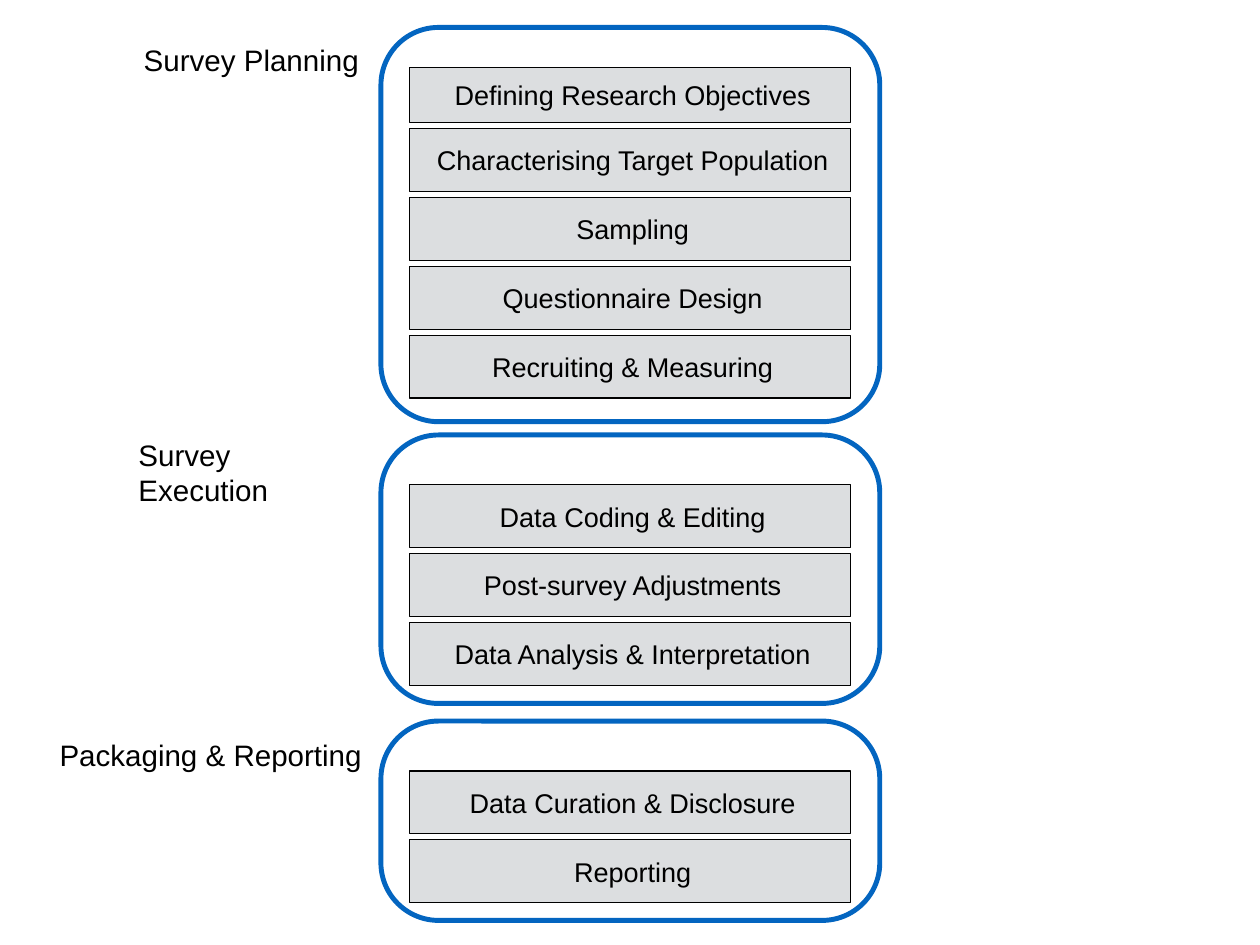
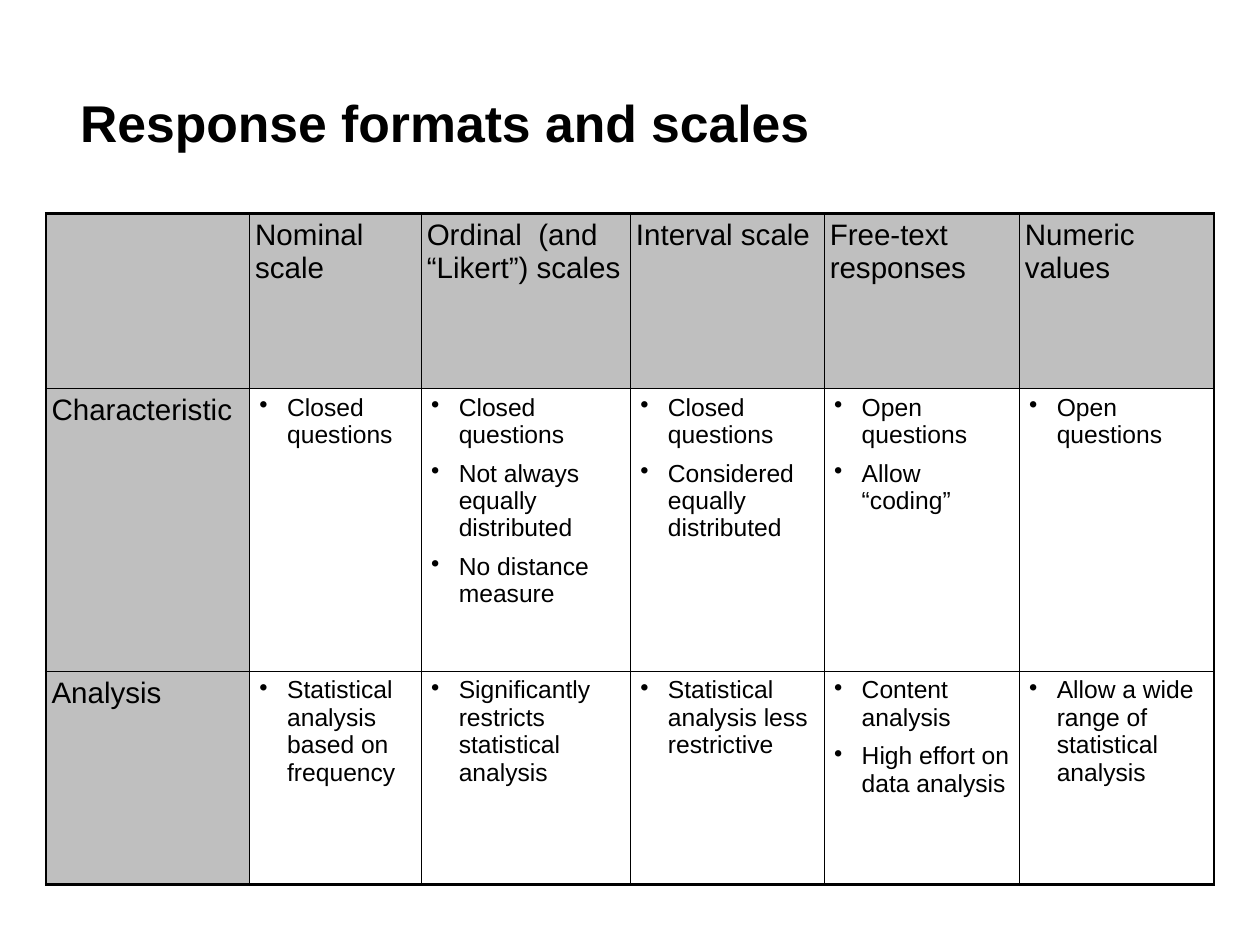
from dataclasses import dataclass

from lxml import etree
from pptx import Presentation
from pptx.dml.color import RGBColor
from pptx.enum.shapes import MSO_SHAPE
from pptx.enum.text import MSO_ANCHOR, MSO_AUTO_SIZE, PP_ALIGN
from pptx.oxml.ns import qn
from pptx.util import Pt

RECT, ROUNDED = MSO_SHAPE.RECTANGLE, MSO_SHAPE.ROUNDED_RECTANGLE
LEFT, CENTER = PP_ALIGN.LEFT, PP_ALIGN.CENTER
MIDDLE, BOTTOM, TOP = MSO_ANCHOR.MIDDLE, MSO_ANCHOR.BOTTOM, MSO_ANCHOR.TOP
NO_FIT, GROW = MSO_AUTO_SIZE.NONE, MSO_AUTO_SIZE.SHAPE_TO_FIT_TEXT


@dataclass(frozen=True)
class Theme:
    font: str = "Arial"
    ink: str = "000000"
    paper: str = "FFFFFF"
    step_fill: str = "DCDEE0"
    phase_line: str = "0365C0"
    header_fill: str = "BFBFBF"
    title_size: float = 42
    label_size: float = 24
    step_size: float = 22
    bullet_size: float = 20
    inset: float = 4.5
    thin: float = 1
    thick: float = 2.25
    phase_width: float = 4


THEME = Theme()
SLIDE_SIZE = (1024, 768)

# Survey process: label box and frame (top, height) per phase, in points
PHASES = [
    {"label": "Survey Planning", "label_box": (112.3, 30.2, 187, 37.4),
     "frame": (22.3, 320.4), "first_top": 55, "first_height": 44.5,
     "steps": ["Defining Research Objectives", "Characterising Target Population",
               "Sampling", "Questionnaire Design", "Recruiting & Measuring"]},
    {"label": "Survey Execution", "label_box": (108, 350.6, 190, 66.2),
     "frame": (353.5, 218.2), "first_top": 394,
     "steps": ["Data Coding & Editing", "Post-survey Adjustments",
               "Data Analysis & Interpretation"]},
    {"label": "Packaging & Reporting", "label_box": (43.9, 594.7, 260, 37.4),
     "frame": (586, 162), "first_top": 626.5,
     "steps": ["Data Curation & Disclosure", "Reporting"]},
]
FRAME_LEFT, FRAME_WIDTH, FRAME_RADIUS = 309.6, 405.4, 46.8
STEP_LEFT, STEP_WIDTH, STEP_HEIGHT, STEP_GAP = 332.6, 358.6, 51, 5

# Response formats: a string is a heading, a list holds bullets
FORMATS_TITLE = "Response formats and scales"
TITLE_BOX = (56, 0, 910, 129)
FORMATS = [
    ["", "Nominal scale", "Ordinal  (and “Likert”) scales", "Interval scale",
     "Free-text responses", "Numeric values"],
    ["Characteristic",
     ["Closed questions"],
     ["Closed questions", "Not always equally distributed", "No distance measure"],
     ["Closed questions", "Considered equally distributed"],
     ["Open questions", "Allow “coding”"],
     ["Open questions"]],
    ["Analysis",
     ["Statistical analysis based on frequency"],
     ["Significantly restricts statistical analysis"],
     ["Statistical analysis less restrictive"],
     ["Content analysis", "High effort on data analysis"],
     ["Allow a wide range of statistical analysis"]],
]
TABLE_LEFT, TABLE_TOP = 37.4, 173.5
COLUMN_WIDTHS = [165.5, 139.5, 170, 157.5, 158.5, 158.5]
ROW_HEIGHTS = [142, 230, 173.5]
BULLET_MARGIN, BULLET_HANG, BULLET_SPACE = 26, -22.5, 9


def rgb(color):
    return RGBColor.from_string(color)


def points(*lengths):
    return [Pt(length) for length in lengths]


def apply(target, formats):
    for name, value in formats.items():
        setattr(target, name, value)


def inset(target, **formats):
    """Give a text frame or table cell the shared margins."""
    margins = {f"margin_{side}": Pt(THEME.inset)
               for side in ("left", "right", "top", "bottom")}
    apply(target, {**margins, **formats})


def write(frame, lines, size, align=LEFT, bold=False, margin=0, bullets=False):
    for index, line in enumerate(lines):
        paragraph = frame.paragraphs[0] if index == 0 else frame.add_paragraph()
        paragraph.alignment = align
        paragraph.space_before = Pt(BULLET_SPACE if index else 0)
        properties = paragraph._p.get_or_add_pPr()
        properties.set("marL", str(Pt(margin)))
        properties.set("indent", str(Pt(BULLET_HANG if bullets else 0)))
        if bullets:
            color = etree.SubElement(properties, qn("a:buClr"))
            etree.SubElement(color, qn("a:srgbClr"), val=THEME.ink)
            etree.SubElement(properties, qn("a:buChar"), char="•")
        run = paragraph.add_run()
        run.text = line
        apply(run.font, {"name": THEME.font, "size": Pt(size), "bold": bold})
        run.font.color.rgb = rgb(THEME.ink)


def add_outlined(slide, preset, box, line, width, fill=None):
    shape = slide.shapes.add_shape(preset, *points(*box))
    shape.shadow.inherit = False
    if fill:
        shape.fill.solid()
        shape.fill.fore_color.rgb = rgb(fill)
    else:
        shape.fill.background()
    shape.line.color.rgb = rgb(line)
    shape.line.width = Pt(width)
    return shape


def add_phase(slide, phase):
    # Steps, stacked with equal gaps
    top = phase["first_top"]
    height = phase.get("first_height", STEP_HEIGHT)
    for name in phase["steps"]:
        step = add_outlined(slide, RECT, (STEP_LEFT, top, STEP_WIDTH, height),
                            THEME.ink, THEME.thin, THEME.step_fill)
        inset(step.text_frame, word_wrap=True, vertical_anchor=MIDDLE)
        write(step.text_frame, [name], THEME.step_size, CENTER, margin=THEME.inset)
        top += height + STEP_GAP
        height = STEP_HEIGHT

    # Frame, with the same corner radius at every height
    frame_top, frame_height = phase["frame"]
    frame = add_outlined(slide, ROUNDED,
                         (FRAME_LEFT, frame_top, FRAME_WIDTH, frame_height),
                         THEME.phase_line, THEME.phase_width)
    frame.adjustments[0] = FRAME_RADIUS / frame_height

    # Label
    label = slide.shapes.add_textbox(*points(*phase["label_box"])).text_frame
    inset(label, word_wrap=True, vertical_anchor=MIDDLE, auto_size=GROW)
    write(label, [phase["label"]], THEME.label_size)


def set_borders(cell, widths):
    properties = cell._tc.get_or_add_tcPr()
    for side, width in widths.items():
        line = etree.SubElement(properties, qn(f"a:ln{side}"), w=str(Pt(width)))
        fill = etree.SubElement(line, qn("a:solidFill"))
        etree.SubElement(fill, qn("a:srgbClr"), val=THEME.ink)


def add_formats_table(slide):
    last_row, last_column = len(ROW_HEIGHTS) - 1, len(COLUMN_WIDTHS) - 1
    table = slide.shapes.add_table(
        last_row + 1, last_column + 1,
        *points(TABLE_LEFT, TABLE_TOP, sum(COLUMN_WIDTHS), sum(ROW_HEIGHTS))).table
    apply(table, {"first_row": False, "horz_banding": False})
    for column, width in zip(table.columns, COLUMN_WIDTHS):
        column.width = Pt(width)
    for row, height in zip(table.rows, ROW_HEIGHTS):
        row.height = Pt(height)

    for r, entries in enumerate(FORMATS):
        for c, entry in enumerate(entries):
            cell = table.cell(r, c)
            inset(cell, vertical_anchor=TOP)
            outer = {"L": c == 0, "R": c == last_column,
                     "T": r == 0, "B": r == last_row}
            set_borders(cell, {side: THEME.thick if edge else THEME.thin
                               for side, edge in outer.items()})
            heading = isinstance(entry, str)
            cell.fill.solid()
            cell.fill.fore_color.rgb = rgb(THEME.header_fill if heading else THEME.paper)
            if not heading:
                write(cell.text_frame, entry, THEME.bullet_size,
                      margin=BULLET_MARGIN, bullets=True)
            elif entry:
                write(cell.text_frame, [entry], THEME.label_size)


def add_title(slide, text):
    title = slide.shapes.title
    apply(title, dict(zip(("left", "top", "width", "height"), points(*TITLE_BOX))))
    inset(title.text_frame, word_wrap=True, vertical_anchor=BOTTOM, auto_size=NO_FIT)
    write(title.text_frame, [text], THEME.title_size, bold=True, margin=THEME.inset)


def main():
    deck = Presentation()
    deck.slide_width, deck.slide_height = points(*SLIDE_SIZE)
    title_only, blank = deck.slide_layouts[5], deck.slide_layouts[6]

    # Survey process
    process = deck.slides.add_slide(blank)
    for phase in PHASES:
        add_phase(process, phase)

    # Response formats
    formats = deck.slides.add_slide(title_only)
    add_title(formats, FORMATS_TITLE)
    add_formats_table(formats)

    deck.save("out.pptx")


if __name__ == "__main__":
    main()
